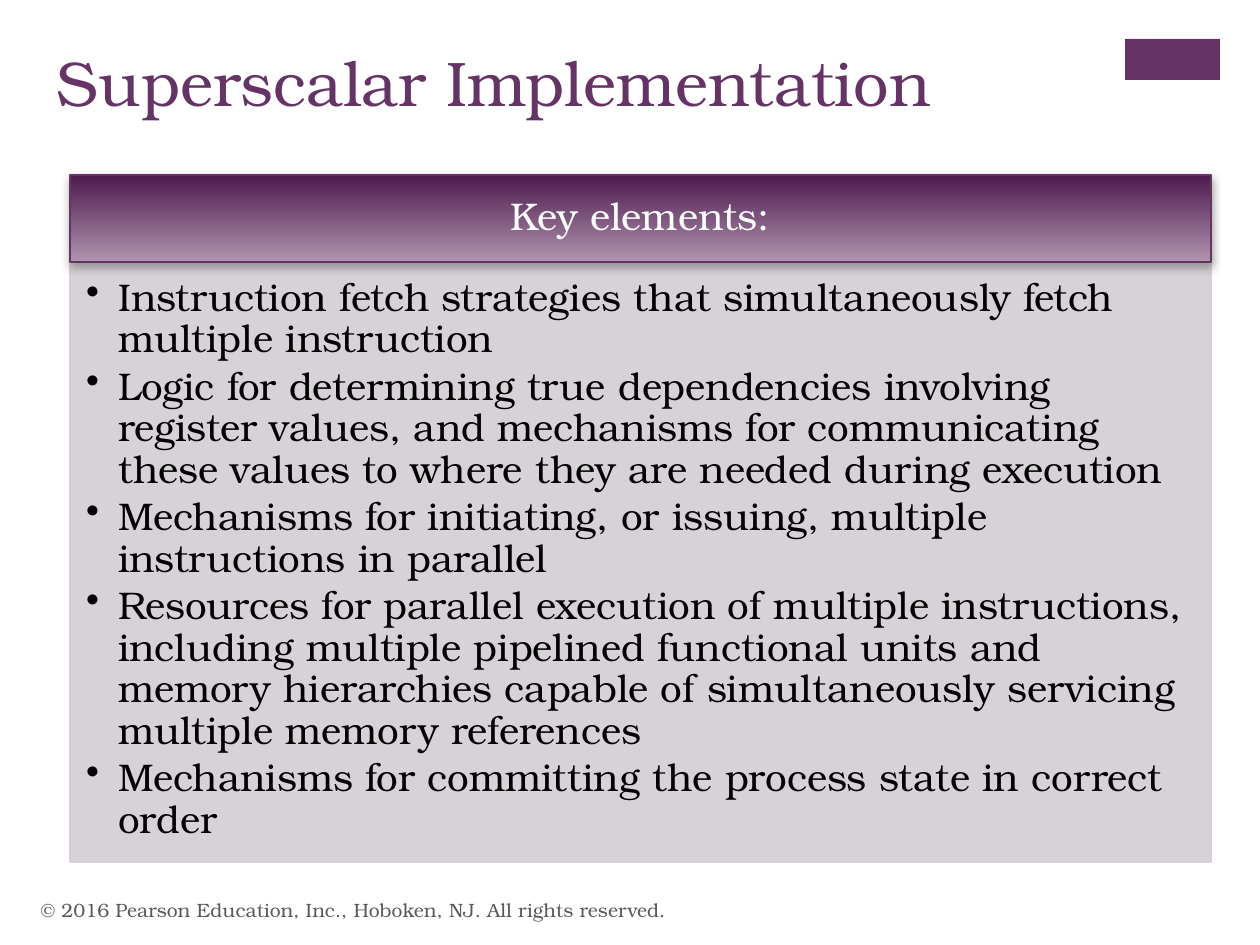
from lxml import etree
from pptx import Presentation
from pptx.dml.color import RGBColor
from pptx.enum.shapes import MSO_SHAPE
from pptx.enum.text import MSO_ANCHOR, MSO_AUTO_SIZE, PP_ALIGN
from pptx.oxml.ns import qn
from pptx.util import Emu, Pt

RECT = MSO_SHAPE.RECTANGLE
TOP, MID = MSO_ANCHOR.TOP, MSO_ANCHOR.MIDDLE
LEFT, CENTER = PP_ALIGN.LEFT, PP_ALIGN.CENTER
FIXED = MSO_AUTO_SIZE.NONE
FONT = "TeX Gyre Bonum"
PLUM, GREY = "663366", "D3CED3"

ITEMS = [
    "Instruction fetch strategies that simultaneously fetch multiple instruction",
    "Logic for determining true dependencies involving register values, and "
    "mechanisms for communicating these values to where they are needed during execution",
    "Mechanisms for initiating, or issuing, multiple instructions in parallel",
    "Resources for parallel execution of multiple instructions, including multiple "
    "pipelined functional units and memory hierarchies capable of simultaneously "
    "servicing multiple memory references",
    "Mechanisms for committing the process state in correct order",
]


def px(n):
    return Emu(round(n * 914400 / 126))


def rgb(code):
    return RGBColor.from_string(code)


def node(parent, tag, **attrs):
    return etree.SubElement(parent, qn(tag), {k: str(v) for k, v in attrs.items()})


def write(shape, *lines, size, color, align=LEFT, anchor=TOP,
          pad=(13, 6, 13, 6), space=None, after=None, indent=0):
    frame = shape.text_frame
    frame.word_wrap = True
    frame.auto_size = FIXED
    frame.vertical_anchor = anchor
    (frame.margin_left, frame.margin_top,
     frame.margin_right, frame.margin_bottom) = map(px, pad)
    for i, line in enumerate(lines):
        para = frame.add_paragraph() if i else frame.paragraphs[0]
        if indent:
            props = para._p.get_or_add_pPr()
            props.set("marL", str(px(indent)))
            props.set("indent", str(px(-indent)))
            node(props, "a:buChar", char="•")
        para.alignment = align
        para.line_spacing = space
        if after:
            para.space_after = Pt(after)
        run = para.add_run()
        run.text = line
        run.font.name = FONT
        run.font.size = Pt(size)
        run.font.color.rgb = rgb(color)


def block(slide, box, fill=None, line=None):
    shape = slide.shapes.add_shape(RECT, *map(px, box))
    shape.shadow.inherit = False
    if fill:
        shape.fill.solid()
        shape.fill.fore_color.rgb = rgb(fill)
    if line:
        shape.line.color.rgb = rgb(line)
        shape.line.width = Pt(1)
    else:
        shape.line.fill.background()
    return shape


def head(slide, box):
    bar = block(slide, box, line=PLUM)
    bar.fill.gradient()
    bar.fill.gradient_angle = 270
    for stop, code in zip(bar.fill.gradient_stops, ("4D1A4D", "AF94AF")):
        stop.color.rgb = rgb(code)
    for stop, place in zip(bar.fill.gradient_stops, (0, 1)):
        stop.position = place
    glow = node(bar._element.spPr.find(qn("a:effectLst")), "a:outerShdw",
                blurRad=Pt(5), dist=Pt(2), dir=5400000, rotWithShape=0)
    node(node(glow, "a:srgbClr", val="808080"), "a:alpha", val=75000)
    write(bar, "Key elements:", size=22, color="FFFFFF", align=CENTER,
          anchor=MID, pad=(21, 13, 21, 13), space=0.9)


def body(slide, box):
    panel = block(slide, box, GREY, GREY)
    for tint in panel._element.spPr.iter(qn("a:srgbClr")):
        node(tint, "a:alpha", val=90000)
    write(panel, *ITEMS, size=22, color="000000", pad=(16, 16, 21, 24),
          space=0.9, after=3.3, indent=32)


def panel(slide, box, split):
    x, y, w, h = box
    body(slide, (x, y + split, w, h - split))
    head(slide, (x, y, w, split))


def title(slide, box):
    shape = slide.shapes.title
    shape.left, shape.top, shape.width, shape.height = map(px, box)
    write(shape, "Superscalar Implementation", size=36, color=PLUM)


def foot(slide, box):
    note = slide.shapes.add_textbox(*map(px, box))
    write(note, "© 2016 Pearson Education, Inc., Hoboken, NJ. All rights reserved.",
          size=11, color="595959", anchor=MID)


def main():
    deck = Presentation()
    deck.slide_width, deck.slide_height = px(1260), px(945)
    slide = deck.slides.add_slide(deck.slide_layouts[5])
    block(slide, (1125, 39, 95, 41), PLUM)
    foot(slide, (28, 885, 844, 50))
    title(slide, (44, 37, 1041, 154))
    panel(slide, (70, 175, 1141, 687), 87)
    deck.save("out.pptx")


if __name__ == "__main__":
    main()
